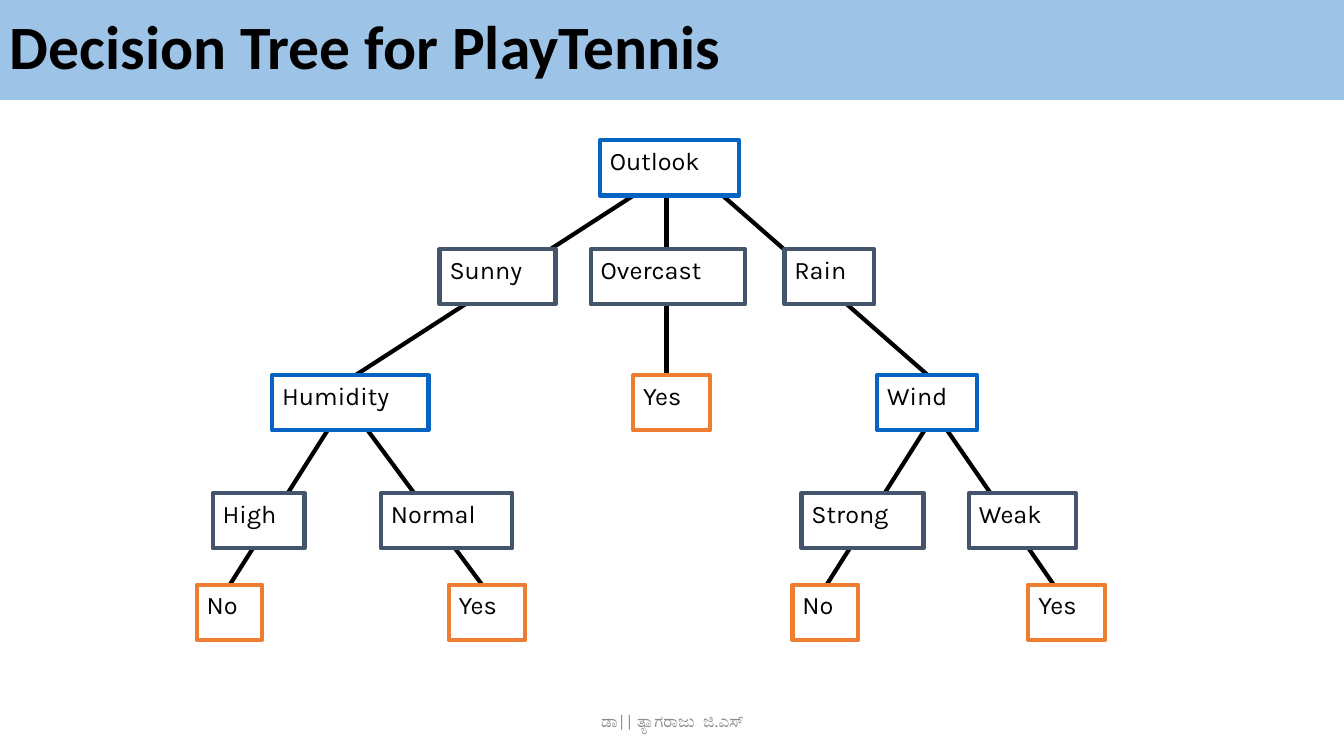
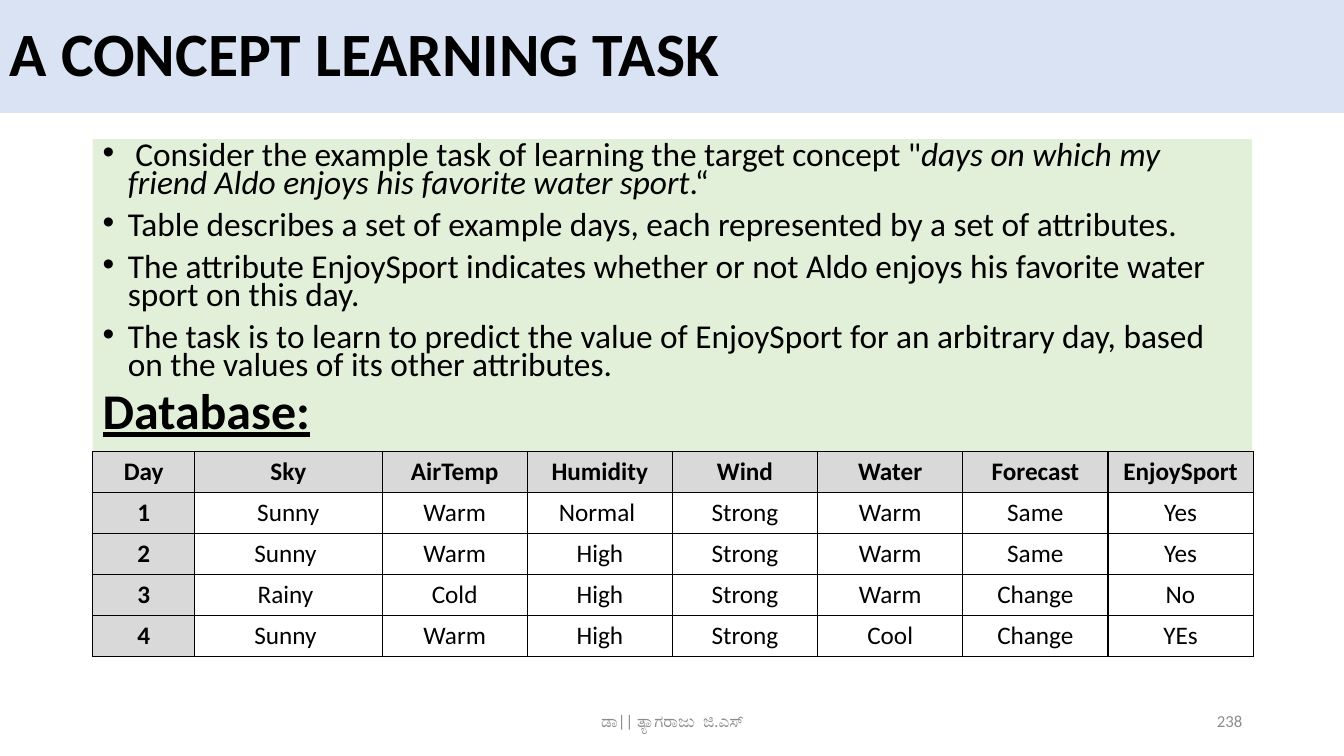
from lxml import etree
from pptx import Presentation, util as u
from pptx.dml.color import RGBColor
from pptx.enum import shapes, text
from pptx.oxml import ns

WIDE, HIGH = 13.33, 7.5
SANS, TREE = "Calibri", "Karla"
BLACK, WHITE, GREY, HEAD = "000000", "FFFFFF", "8C8C8C", "D9D9D9"
MINT = "E2F0D9"
LEFT, CENTER, RIGHT = text.PP_ALIGN.LEFT, text.PP_ALIGN.CENTER, text.PP_ALIGN.RIGHT
TOP, MIDDLE = text.MSO_ANCHOR.TOP, text.MSO_ANCHOR.MIDDLE
AUTHOR = "ಡಾ|| ತ್ಯಾಗರಾಜು  ಜಿ.ಎಸ್"

TITLES = [
    ("Decision Tree for PlayTennis", "9DC3E6", 0.99),
    ("A CONCEPT LEARNING TASK", "DAE3F3", 1.12),
]

TEST, VALUE, LEAF = "0563C1", "44546A", "ED7D31"
BOX = 0.55
LEVELS = [
    (1.39, TEST, [("Outlook", 5.95, 1.38)]),
    (2.47, VALUE, [("Sunny", 4.36, 1.15), ("Overcast", 5.86, 1.53), ("Rain", 7.78, 0.89)]),
    (3.72, TEST, [("Humidity", 2.7, 1.55), ("Wind", 8.7, 0.99)]),
    (3.72, LEAF, [("Yes", 6.28, 0.76)]),
    (4.89, VALUE, [("High", 2.11, 0.91), ("Normal", 3.78, 1.3),
                   ("Strong", 7.95, 1.21), ("Weak", 9.61, 1.06)]),
    (5.8, LEAF, [("No", 1.95, 0.65), ("Yes", 4.45, 0.76),
                 ("No", 7.86, 0.65), ("Yes", 10.2, 0.76)]),
]
BRANCHES = [
    (1.89, 3.72, [(7.11, 9.2), (6.36, 3.53), (6.61, 6.61)]),
    (4.22, 5.8, [(3.28, 2.28), (3.61, 4.78), (9.36, 10.45), (9.2, 8.2)]),
]

POINTS = [
    [(" Consider the example task of learning the target concept \"", False),
     ("days on which my friend Aldo enjoys his favorite water sport", True),
     (".“", False)],
    [("Table describes a set of example days, each represented by a set of attributes.", False)],
    [("The attribute EnjoySport indicates whether or not Aldo enjoys his favorite "
      "water sport on this day.", False)],
    [("The task is to learn to predict the value of EnjoySport for an arbitrary day, "
      "based on the values of its other attributes.", False)],
]
DAYS = [
    ["Day", "Sky", "AirTemp", "Humidity", "Wind", "Water", "Forecast", "EnjoySport"],
    ["1", "Sunny", "Warm", "Normal ", "Strong", "Warm", "Same", "Yes"],
    ["2", "Sunny ", "Warm", "High", "Strong", "Warm", "Same", "Yes"],
    ["3", "Rainy ", "Cold", "High", "Strong", "Warm", "Change", "No"],
    ["4", "Sunny ", "Warm", "High", "Strong", "Cool", "Change", "YEs"],
]
COLS = [1.01, 1.86] + [1.44] * 6
ROW = 0.407


def tint(code):
    return RGBColor.from_string(code)


def sub(parent, tag, **attrs):
    return etree.SubElement(parent, ns.qn(tag), attrs)


def write(para, words, size, face=SANS, color=BLACK, **style):
    run = para.add_run()
    run.text = words
    font = run.font
    font.size, font.name = u.Pt(size), face
    font.color.rgb = tint(color)
    for key, val in style.items():
        setattr(font, key, val)


def block(slide, x, y, w, h, fill=None, line=None, anchor=TOP):
    area = [u.Inches(v) for v in (x, y, w, h)]
    if fill:
        shape = slide.shapes.add_shape(shapes.MSO_SHAPE.RECTANGLE, *area)
        shape.shadow.inherit = False
        shape.fill.solid()
        shape.fill.fore_color.rgb = tint(fill)
        if line:
            shape.line.color.rgb = tint(line)
            shape.line.width = u.Pt(3)
        else:
            shape.line.fill.background()
    else:
        shape = slide.shapes.add_textbox(*area)
    frame = shape.text_frame
    frame.word_wrap = True
    frame.vertical_anchor = anchor
    frame.paragraphs[0].alignment = LEFT
    return frame


def footer(slide, x, w, words, align):
    para = block(slide, x, 6.95, w, 0.4, anchor=MIDDLE).paragraphs[0]
    para.alignment = align
    write(para, words, 12, color=GREY)


def start(deck, title, fill, high):
    slide = deck.slides.add_slide(deck.slide_layouts[6])
    para = block(slide, 0, 0, WIDE, high, fill, anchor=MIDDLE).paragraphs[0]
    para.line_spacing = 0.9
    write(para, title, 44, bold=True)
    footer(slide, 4.42, 4.5, AUTHOR, CENTER)
    return slide


def tree(slide):
    for top, end, pairs in BRANCHES:
        for a, b in pairs:
            link = slide.shapes.add_connector(
                shapes.MSO_CONNECTOR.STRAIGHT, *[u.Inches(v) for v in (a, top, b, end)])
            link.line.color.rgb = tint(BLACK)
            link.line.width = u.Pt(3)
            sub(link.element.spPr, "a:effectLst")
    for top, color, nodes in LEVELS:
        for name, x, w in nodes:
            frame = block(slide, x, top, w, BOX, WHITE, color)
            write(frame.paragraphs[0], name, 18, TREE)


def task(slide):
    frame = block(slide, 0.92, 1.38, 11.5, 3.1, MINT)
    for i, runs in enumerate(POINTS):
        para = frame.add_paragraph() if i else frame.paragraphs[0]
        props = para._p.get_or_add_pPr()
        props.set("marL", str(u.Inches(0.25)))
        props.set("indent", str(-u.Inches(0.25)))
        sub(props, "a:buFont", typeface="Arial")
        sub(props, "a:buChar", char="•")
        for words, slant in runs:
            write(para, words, 23.8, italic=slant)
    write(frame.add_paragraph(), "Database:", 35.7, bold=True, underline=True)
    for i, para in enumerate(frame.paragraphs):
        para.alignment = LEFT
        para.line_spacing = 0.7
        if i:
            para.space_before = u.Pt(10)


def edge(cell):
    props = cell._tc.get_or_add_tcPr()
    for i, side in enumerate(("a:lnL", "a:lnR", "a:lnT", "a:lnB")):
        line = etree.Element(ns.qn(side), {"w": str(u.Pt(1))})
        sub(sub(line, "a:solidFill"), "a:srgbClr", val=BLACK)
        props.insert(i, line)


def table(slide):
    area = (0.92, 4.48, sum(COLS), ROW * len(DAYS))
    grid = slide.shapes.add_table(
        len(DAYS), len(COLS), *[u.Inches(v) for v in area]).table
    grid.horz_banding = False
    for col, w in zip(grid.columns, COLS):
        col.width = u.Inches(w)
    for r, day in enumerate(DAYS):
        grid.rows[r].height = u.Inches(ROW)
        for c, words in enumerate(day):
            cell = grid.cell(r, c)
            head = r == 0 or c == 0
            cell.fill.solid()
            cell.fill.fore_color.rgb = tint(HEAD if head else WHITE)
            edge(cell)
            para = cell.text_frame.paragraphs[0]
            para.alignment = CENTER
            write(para, words, 18, bold=head)


def main():
    deck = Presentation()
    deck.slide_width, deck.slide_height = u.Inches(WIDE), u.Inches(HIGH)
    first, second = [start(deck, *title) for title in TITLES]
    tree(first)
    task(second)
    table(second)
    footer(second, 9.42, 3, "238", RIGHT)
    deck.save("out.pptx")


if __name__ == "__main__":
    main()
